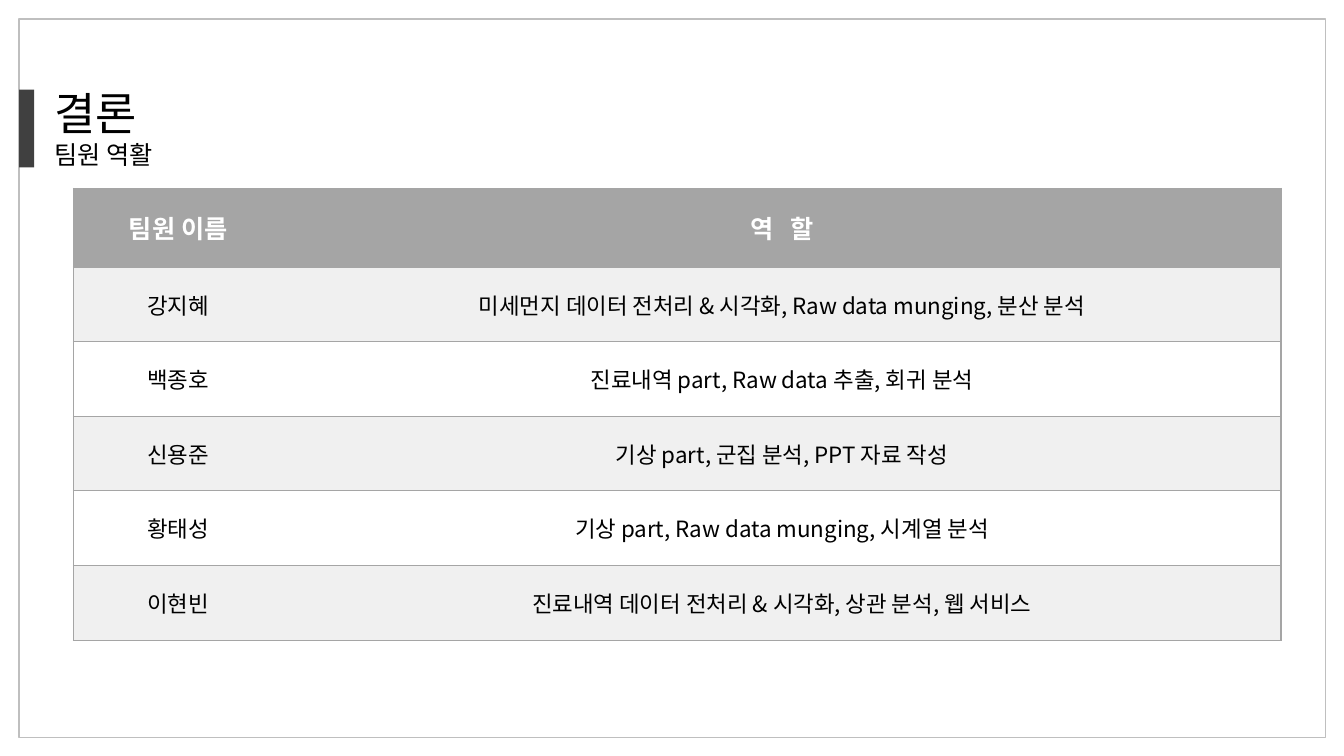
from dataclasses import dataclass

from lxml.etree import SubElement
from pptx import Presentation
from pptx.dml.color import RGBColor
from pptx.enum.shapes import MSO_SHAPE
from pptx.enum.text import MSO_ANCHOR, MSO_AUTO_SIZE, PP_ALIGN
from pptx.oxml.ns import qn
from pptx.util import Cm, Pt


@dataclass(frozen=True)
class Theme:
    """Colours, font and type sizes of the slide."""

    font: str = "Noto Sans CJK KR"
    text: str = "000000"
    white: str = "FFFFFF"
    accent: str = "404040"
    frame: str = "BFBFBF"
    header: str = "A5A5A5"
    band: str = "F0F0F0"
    title_size: int = 32
    subtitle_size: int = 18
    body_size: int = 16


class SlideBuilder:
    """Holds the theme and the current slide, and adds elements to it."""

    def __init__(self, s, theme):
        """Keep the slide and its theme."""
        self.s = s
        self.theme = theme

    def style(self, p, size, color, bold=False, spacing=0):
        """Set the font of a paragraph for Latin and Korean text."""
        p.font.name = self.theme.font
        p.font.size = Pt(size)
        p.font.bold = bold
        p.font.color.rgb = RGBColor.from_string(color)
        props = p._p.pPr.find(qn("a:defRPr"))
        SubElement(props, qn("a:ea"), typeface=self.theme.font)
        if spacing:
            props.set("spc", str(spacing * 100))

    def rect(self, left, top, width, height, fill=None, line=None):
        """Add a rectangle with an optional fill and outline."""
        sp = self.s.shapes.add_shape(
            MSO_SHAPE.RECTANGLE, Cm(left), Cm(top), Cm(width), Cm(height))
        sp.shadow.inherit = False
        if fill:
            sp.fill.solid()
            sp.fill.fore_color.rgb = RGBColor.from_string(fill)
        else:
            sp.fill.background()
        if line:
            sp.line.color.rgb = RGBColor.from_string(line)
            sp.line.width = Pt(1)
        else:
            sp.line.fill.background()

    def heading(self, left, top, width, height, lines):
        """Add a text box with one paragraph for each text and size."""
        sp = self.s.shapes.add_textbox(Cm(left), Cm(top), Cm(width), Cm(height))
        tf = sp.text_frame
        tf.word_wrap = True
        tf.auto_size = MSO_AUTO_SIZE.SHAPE_TO_FIT_TEXT
        tf.text = "\n".join(text for text, _ in lines)
        for p, (_, size) in zip(tf.paragraphs, lines):
            self.style(p, size, self.theme.text)

    def borders(self, cell, sides):
        """Draw the named sides of a cell and clear the others."""
        tcPr = cell._tc.get_or_add_tcPr()
        for i, side in enumerate("LRTB"):
            ln = tcPr.makeelement(qn(f"a:ln{side}"), {"w": str(Pt(1))})
            tcPr.insert(i, ln)
            if side in sides:
                fill = SubElement(ln, qn("a:solidFill"))
                SubElement(fill, qn("a:srgbClr"), val=self.theme.header)
            else:
                SubElement(ln, qn("a:noFill"))

    def cell(self, cell, text, fill, sides, **font):
        """Fill one table cell with centred text."""
        cell.fill.solid()
        cell.fill.fore_color.rgb = RGBColor.from_string(fill)
        cell.vertical_anchor = MSO_ANCHOR.MIDDLE
        cell.margin_left = cell.margin_right = Cm(0.33)
        cell.margin_top = cell.margin_bottom = Cm(0.13)
        self.borders(cell, sides)
        cell.text = text
        p = cell.text_frame.paragraphs[0]
        p.alignment = PP_ALIGN.CENTER
        self.style(p, **font)

    def table(self, left, top, widths, heights, rows):
        """Add a banded table whose first row is the header."""
        t = self.theme
        table = self.s.shapes.add_table(
            len(rows), len(widths), Cm(left), Cm(top),
            Cm(sum(widths)), Cm(sum(heights))).table
        table.horz_banding = False
        for column, width in zip(table.columns, widths):
            column.width = Cm(width)
        for r, (row, height) in enumerate(zip(rows, heights)):
            table.rows[r].height = Cm(height)
            for c, (text, sides) in enumerate(zip(row, ("LTB", "RTB"))):
                if r == 0:
                    fill = t.header
                    font = dict(size=t.subtitle_size, color=t.white,
                                bold=True, spacing=4 * c)
                else:
                    fill = t.band if r % 2 else t.white
                    font = dict(size=t.body_size, color=t.text)
                self.cell(table.cell(r, c), text, fill, sides, **font)


ROLES = [
    ("팀원 이름", "역 할"),
    ("강지혜", "미세먼지 데이터 전처리 & 시각화, Raw data munging, 분산 분석"),
    ("백종호", "진료내역 part, Raw data 추출, 회귀 분석"),
    ("신용준", "기상 part, 군집 분석, PPT 자료 작성"),
    ("황태성", "기상 part, Raw data munging, 시계열 분석"),
    ("이현빈", "진료내역 데이터 전처리 & 시각화, 상관 분석, 웹 서비스"),
]


def main():
    """Build the team roles slide and save it."""
    prs = Presentation()
    prs.slide_width, prs.slide_height = Cm(33.87), Cm(19.05)
    theme = Theme()
    builder = SlideBuilder(prs.slides.add_slide(prs.slide_layouts[6]), theme)
    builder.rect(0.48, 0.48, 32.92, 18.11, line=theme.frame)
    builder.rect(0.48, 2.26, 0.38, 1.96, fill=theme.accent)
    builder.heading(1.12, 2.03, 13.49, 2.49, [
        ("결론", theme.title_size), ("팀원 역활", theme.subtitle_size)])
    builder.table(1.85, 4.75, [5.28, 25.15], [1.98] + [1.88] * 5, ROLES)
    prs.save("out.pptx")


if __name__ == "__main__":
    main()
